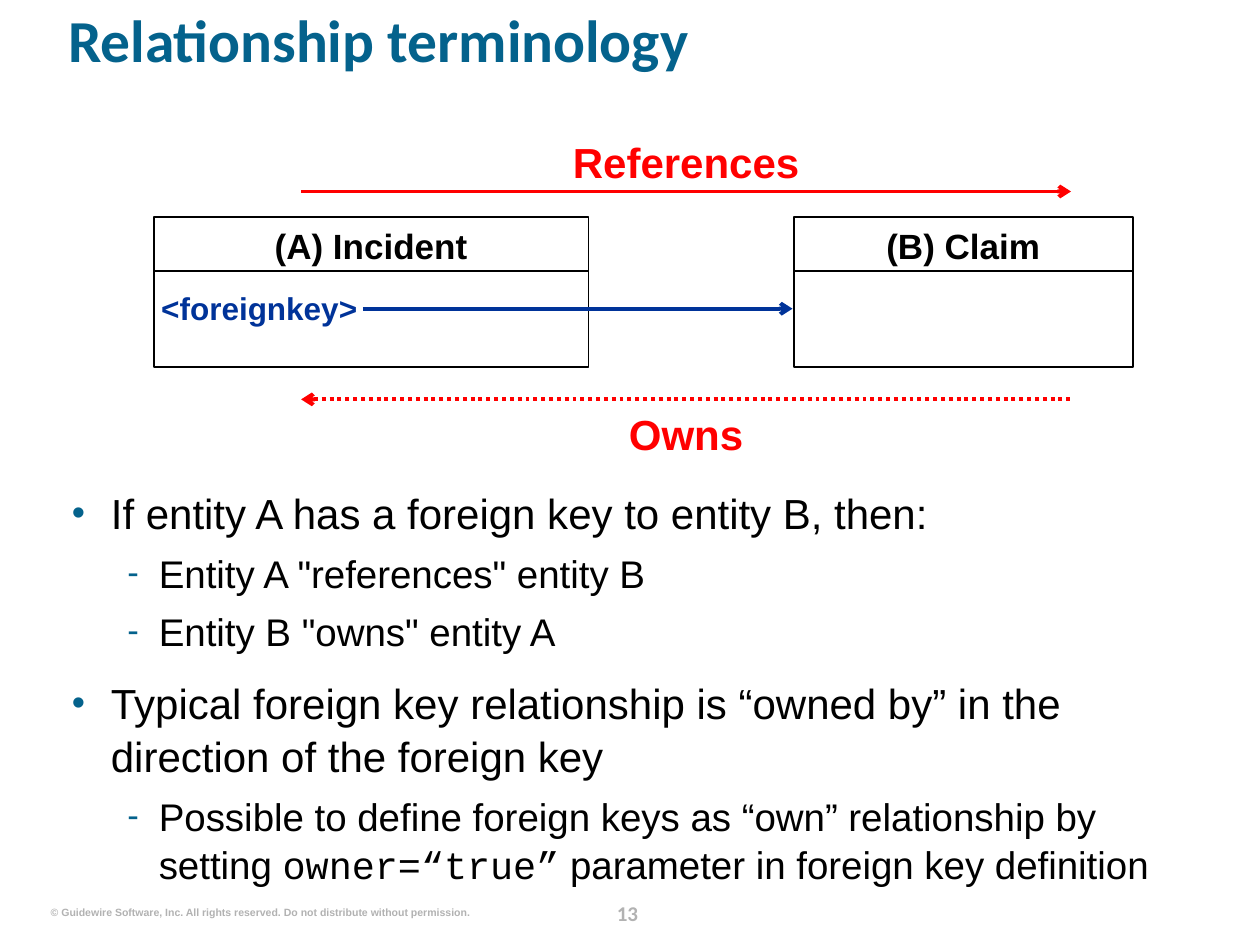
from dataclasses import dataclass

import pptx
import pptx.dml.color
import pptx.enum.dml
import pptx.enum.shapes
import pptx.enum.text
import pptx.oxml
import pptx.oxml.ns
import pptx.shapes.base
import pptx.slide
import pptx.text.text
import pptx.util

Inches = pptx.util.Inches
Pt = pptx.util.Pt
Align = pptx.enum.text.PP_ALIGN

TEAL = "04628C"
NAVY = "003399"
RED = "FF0000"
BLACK = "000000"
WHITE = "FFFFFF"
GRAY = "B2B2B2"
HEADER_LINE = 2.15


@dataclass
class Entity:
    name: str
    left: float
    width: float


@dataclass
class Arrow:
    start: float
    stop: float
    top: float
    color: str
    end: str = "tailEnd"
    dotted: bool = False


@dataclass
class Label:
    text: str
    left: float
    top: float
    width: float
    height: float
    size: float
    color: str
    align: Align = Align.CENTER
    face: str = "Arial"
    wrap: bool = True


@dataclass
class Bullet:
    spans: list[tuple[str, str]]
    level: int = 0


@dataclass
class BulletStyle:
    char: str
    size: float
    before: float
    margin: float
    indent: float


ENTITIES = [Entity("(B) Claim", 6.3, 2.69), Entity("(A) Incident", 1.22, 3.45)]

ARROWS = [
    Arrow(2.88, 6.29, 2.45, NAVY),
    Arrow(2.39, 8.5, 1.52, RED),
    Arrow(2.39, 8.5, 3.17, RED, end="headEnd", dotted=True),
]

LABELS = [
    Label("<foreignkey>", 1.28, 2.29, 1.94, 0.3, 18, NAVY, Align.LEFT),
    Label("References", 2.3, 1.08, 6.29, 0.4, 24, RED),
    Label("Owns", 4.91, 3.24, 1.07, 0.4, 24, RED),
    Label("13", 4.73, 7.15, 0.5, 0.25, 12, GRAY, face="Calibri"),
    Label(
        "© Guidewire Software, Inc. All rights reserved. Do not distribute without permission.",
        0.4, 7.19, 3.33, 0.1, 6, GRAY, Align.RIGHT, wrap=False,
    ),
]

BULLETS = [
    Bullet([("If entity A has a foreign key to entity B, then:", "Arial")]),
    Bullet([('Entity A "references" entity B', "Arial")], 1),
    Bullet([('Entity B "owns" entity A', "Arial")], 1),
    Bullet([("Typical foreign key relationship is “owned by” in the direction of the foreign key", "Arial")]),
    Bullet([
        ("Possible to define foreign keys as “own” relationship by setting ", "Arial"),
        ("owner=“true”", "Courier New"),
        (" parameter in foreign key definition", "Arial"),
    ], 1),
]

STYLES = [BulletStyle("•", 24, 12, 0.31, -0.31), BulletStyle("-", 22, 5.5, 0.69, -0.25)]


def rgb(color: str) -> pptx.dml.color.RGBColor:
    return pptx.dml.color.RGBColor.from_string(color)


def add_element(parent, tag: str, **attributes: str):
    element = pptx.oxml.parse_xml(f"<a:{tag} {pptx.oxml.ns.nsdecls('a')}/>")
    for name, value in attributes.items():
        element.set(name, value)
    parent.append(element)
    return element


def write_text(
    para: pptx.text.text._Paragraph, text: str, *, size: float,
    color: str = BLACK, bold: bool = False, face: str = "Arial",
) -> None:
    span = para.add_run()
    span.text = text
    span.font.size = Pt(size)
    span.font.name = face
    span.font.bold = bold
    span.font.color.rgb = rgb(color)


def set_frame(box: pptx.shapes.base.BaseShape, wrap: bool = True) -> pptx.text.text.TextFrame:
    frame = box.text_frame
    frame.margin_left = frame.margin_top = frame.margin_right = frame.margin_bottom = 0
    frame.word_wrap = wrap
    frame.auto_size = pptx.enum.text.MSO_AUTO_SIZE.NONE
    frame.vertical_anchor = pptx.enum.text.MSO_ANCHOR.TOP
    return frame


def place(box: pptx.shapes.base.BaseShape, left: float, top: float, width: float, height: float) -> None:
    box.left, box.top = Inches(left), Inches(top)
    box.width, box.height = Inches(width), Inches(height)


def draw_label(page: pptx.slide.Slide, label: Label) -> None:
    box = page.shapes.add_textbox(
        Inches(label.left), Inches(label.top), Inches(label.width), Inches(label.height)
    )
    para = set_frame(box, label.wrap).paragraphs[0]
    para.alignment = label.align
    write_text(para, label.text, size=label.size, color=label.color, bold=True, face=label.face)


def draw_line(page: pptx.slide.Slide, start: float, stop: float, top: float, color: str, width: float):
    line = page.shapes.add_connector(
        pptx.enum.shapes.MSO_CONNECTOR.STRAIGHT, Inches(start), Inches(top), Inches(stop), Inches(top)
    )
    line.line.color.rgb = rgb(color)
    line.line.width = Pt(width)
    add_element(line._element.spPr, "effectLst")
    return line


def draw_arrow(page: pptx.slide.Slide, arrow: Arrow) -> None:
    line = draw_line(page, arrow.start, arrow.stop, arrow.top, arrow.color, 2.25)
    if arrow.dotted:
        line.line.dash_style = pptx.enum.dml.MSO_LINE.ROUND_DOT
        line.line._ln.prstDash.set("val", "sysDot")
    add_element(line.line._ln, arrow.end, type="arrow")


def draw_entity(page: pptx.slide.Slide, entity: Entity) -> None:
    box = page.shapes.add_shape(
        pptx.enum.shapes.MSO_SHAPE.RECTANGLE,
        Inches(entity.left), Inches(1.72), Inches(entity.width), Inches(1.19),
    )
    box.shadow.inherit = False
    box.fill.solid()
    box.fill.fore_color.rgb = rgb(WHITE)
    box.line.color.rgb = rgb(BLACK)
    box.line.width = Pt(1)
    draw_line(page, entity.left, entity.left + entity.width, HEADER_LINE, BLACK, 1)
    draw_label(page, Label(entity.name, entity.left + 0.05, 1.78, entity.width - 0.1, 0.33, 20, BLACK))


def write_bullet(para: pptx.text.text._Paragraph, bullet: Bullet, first: bool) -> None:
    style = STYLES[bullet.level]
    para.level = bullet.level
    para.line_spacing = 1.05
    para.space_before = Pt(0 if first else style.before)
    properties = para._p.get_or_add_pPr()
    properties.set("marL", str(Inches(style.margin)))
    properties.set("indent", str(Inches(style.indent)))
    add_element(add_element(properties, "buClr"), "srgbClr", val=TEAL)
    add_element(properties, "buSzPct", val="90000")
    add_element(properties, "buChar", char=style.char)
    for text, face in bullet.spans:
        write_text(para, text, size=style.size, face=face)


def main() -> None:
    deck = pptx.Presentation()
    deck.slide_width, deck.slide_height = Inches(10), Inches(7.5)
    page = deck.slides.add_slide(deck.slide_layouts[1])

    title, body = page.shapes.title, page.placeholders[1]
    place(title, 0.54, 0.13, 9.1, 0.81)
    heading = set_frame(title).paragraphs[0]
    heading.alignment = Align.LEFT
    heading.line_spacing = 0.8
    write_text(heading, "Relationship terminology", size=34, color=TEAL, bold=True, face="Calibri")

    place(body, 0.57, 3.85, 9.1, 3.13)
    frame = set_frame(body)
    for index, bullet in enumerate(BULLETS):
        para = frame.add_paragraph() if index else frame.paragraphs[0]
        write_bullet(para, bullet, index == 0)

    for entity in ENTITIES:
        draw_entity(page, entity)
    for arrow in ARROWS:
        draw_arrow(page, arrow)
    for label in LABELS:
        draw_label(page, label)
    deck.save("out.pptx")


if __name__ == "__main__":
    main()
